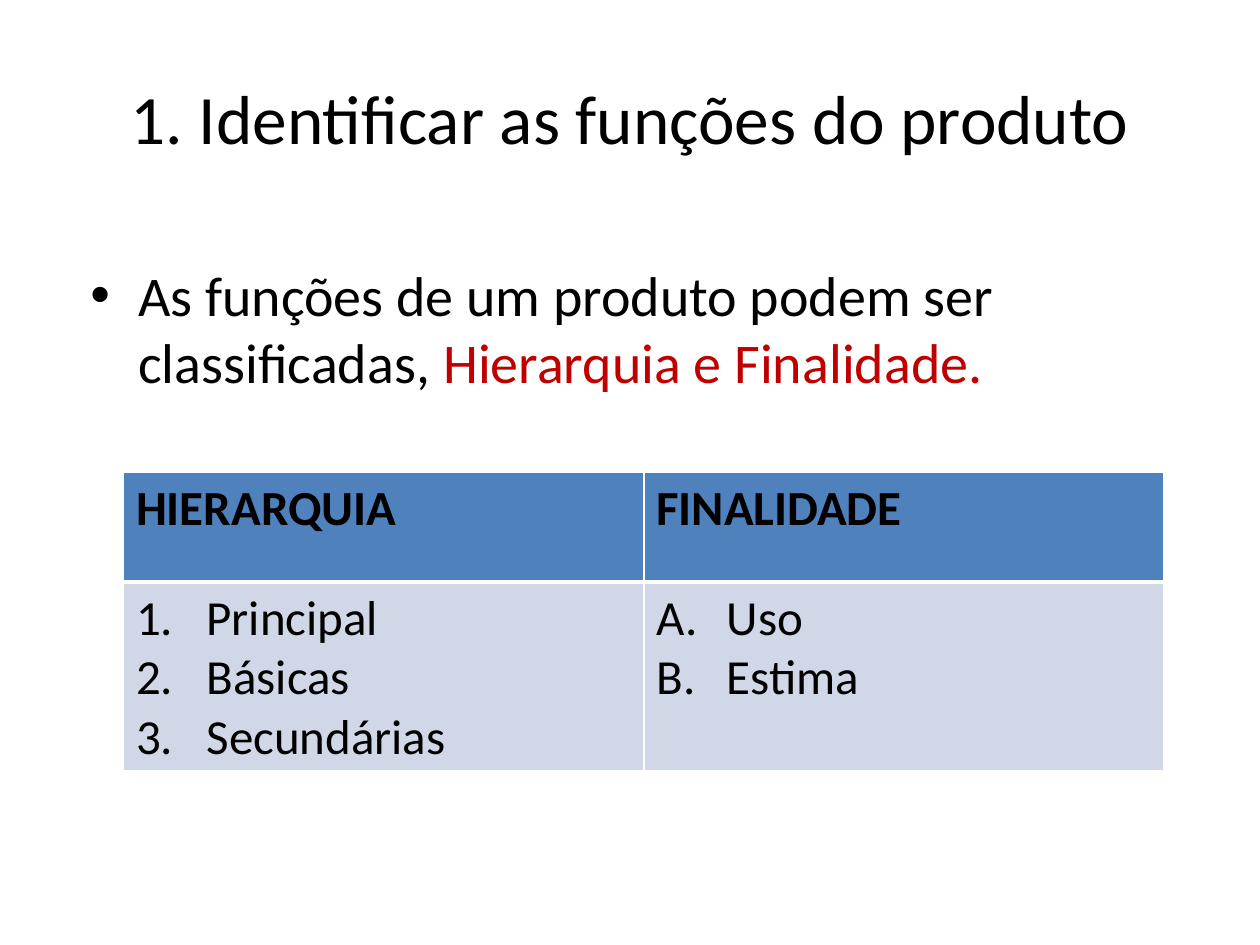
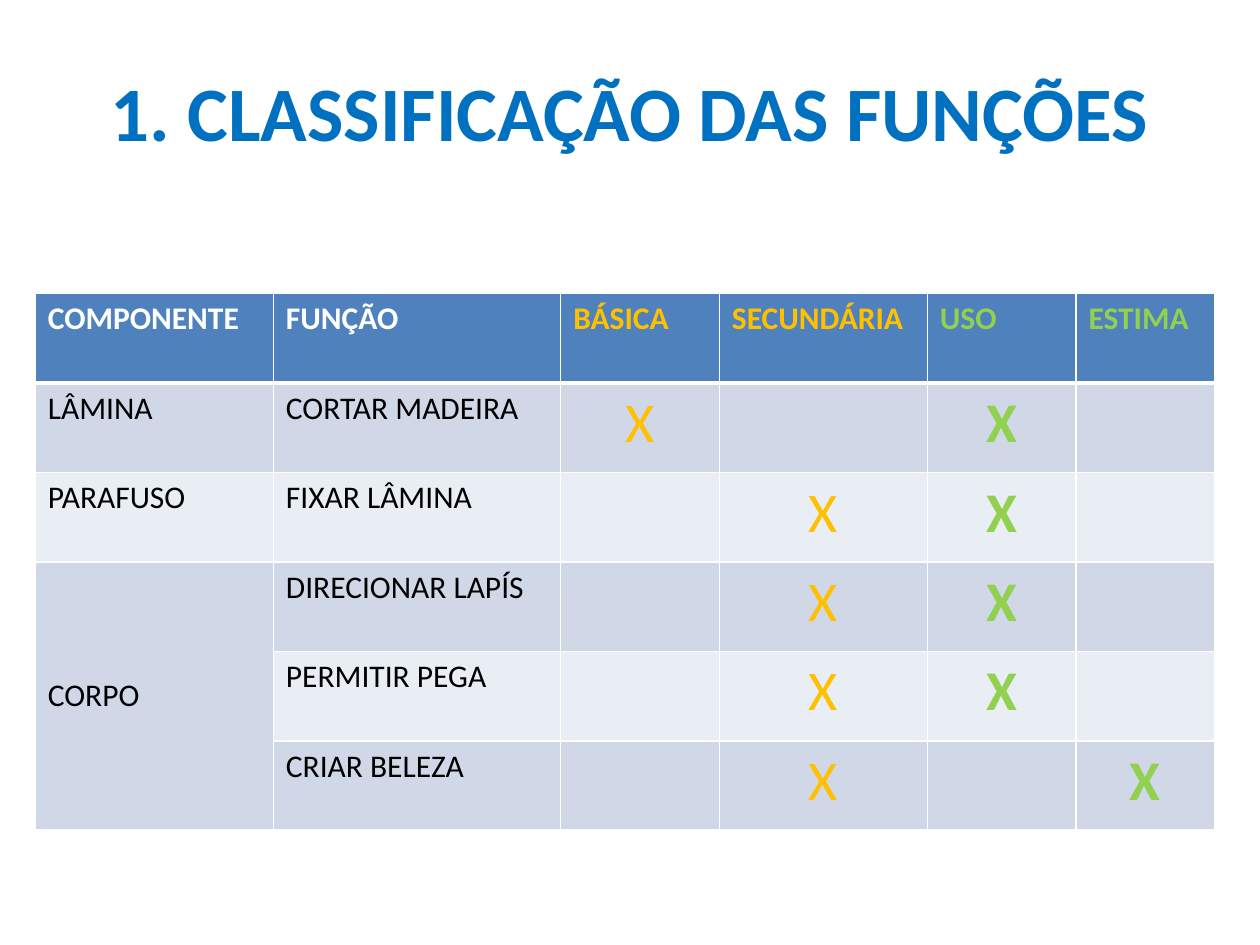
from dataclasses import dataclass
from typing import NamedTuple

from lxml import etree
from pptx import Presentation
from pptx.dml.color import RGBColor
from pptx.enum.text import MSO_ANCHOR, PP_ALIGN
from pptx.oxml.ns import qn
from pptx.util import Inches, Pt

LEFT, CENTER = PP_ALIGN.LEFT, PP_ALIGN.CENTER
TOP, MIDDLE = MSO_ANCHOR.TOP, MSO_ANCHOR.MIDDLE
BLANK_LAYOUT = 6


@dataclass(frozen=True)
class Theme:
    font: str = "Calibri"
    black: str = "000000"
    white: str = "FFFFFF"
    red: str = "C00000"
    title_blue: str = "0070C0"
    header_blue: str = "4F81BD"
    bands: tuple[str, str] = ("D0D8E8", "E9EDF4")
    amber: str = "FFC000"
    green: str = "92D050"
    title_size: float = 44
    small_title_size: float = 39.6
    body_size: float = 32
    list_size: float = 28
    grid_size: float = 18
    thin_line: float = 1
    header_line: float = 3


THEME = Theme()


class Box(NamedTuple):
    left: float
    top: float
    width: float
    height: float


class TextStyle(NamedTuple):
    size: float
    color: str = THEME.black
    bold: bool = False


class Bullet(NamedTuple):
    tag: str
    attribute: str
    value: str
    indent: float


class ListColumn(NamedTuple):
    heading: str
    numbering: str
    items: tuple[str, ...]


class FunctionRow(NamedTuple):
    component: str
    function: str
    marked: tuple[str, str]


TITLE_BOX = Box(0.5, 0.3, 9, 1.25)
DOT = Bullet("a:buChar", "char", "•", 0.38)

LIST_COLUMNS = (
    ListColumn("HIERARQUIA", "arabicPeriod", ("Principal", "Básicas", "Secundárias")),
    ListColumn("FINALIDADE", "alphaUcPeriod", ("Uso", "Estima")),
)

# Classification columns and their colours
CLASS_COLORS = {
    "BÁSICA": THEME.amber,
    "SECUNDÁRIA": THEME.amber,
    "USO": THEME.green,
    "ESTIMA": THEME.green,
}
FUNCTION_ROWS = (
    FunctionRow("LÂMINA", "CORTAR MADEIRA", ("BÁSICA", "USO")),
    FunctionRow("PARAFUSO", "FIXAR LÂMINA", ("SECUNDÁRIA", "USO")),
    FunctionRow("CORPO", "DIRECIONAR LAPÍS", ("SECUNDÁRIA", "USO")),
    FunctionRow("", "PERMITIR PEGA", ("SECUNDÁRIA", "USO")),
    FunctionRow("", "CRIAR BELEZA", ("SECUNDÁRIA", "ESTIMA")),
)


# Text helpers
def add_run(paragraph, text: str, style: TextStyle) -> None:
    run = paragraph.add_run()
    run.text = text
    run.font.name = THEME.font
    run.font.size = Pt(style.size)
    run.font.bold = style.bold
    run.font.color.rgb = RGBColor.from_string(style.color)


def set_bullet(paragraph, bullet: Bullet) -> None:
    properties = paragraph._p.get_or_add_pPr()
    properties.set("marL", str(Inches(bullet.indent)))
    properties.set("indent", str(-Inches(bullet.indent)))
    font = etree.SubElement(properties, qn("a:buFont"))
    font.set("typeface", "Arial" if bullet == DOT else "+mj-lt")
    etree.SubElement(properties, qn(bullet.tag)).set(bullet.attribute, bullet.value)


def add_text_box(slide, box: Box, anchor=TOP):
    shape = slide.shapes.add_textbox(*(Inches(length) for length in box))
    frame = shape.text_frame
    frame.word_wrap = True
    frame.vertical_anchor = anchor
    return frame.paragraphs[0]


def add_title(slide, text: str, style: TextStyle, line_spacing: float = 1.0) -> None:
    paragraph = add_text_box(slide, TITLE_BOX, MIDDLE)
    paragraph.alignment = CENTER
    paragraph.line_spacing = line_spacing
    add_run(paragraph, text, style)


# Table helpers
def style_cell(cell, row: int) -> None:
    properties = cell._tc.get_or_add_tcPr()
    heavy_side = {0: "lnB", 1: "lnT"}.get(row)
    for side in ("lnL", "lnR", "lnT", "lnB"):
        width = THEME.header_line if side == heavy_side else THEME.thin_line
        line = etree.SubElement(properties, qn(f"a:{side}"), w=str(Pt(width)))
        fill = etree.SubElement(line, qn("a:solidFill"))
        etree.SubElement(fill, qn("a:srgbClr"), val=THEME.white)
    cell.fill.solid()
    color = THEME.header_blue if row == 0 else THEME.bands[(row - 1) % 2]
    cell.fill.fore_color.rgb = RGBColor.from_string(color)


def add_table(slide, left: float, top: float, widths: list[float], heights: list[float]):
    box = Box(left, top, sum(widths), sum(heights))
    frame = slide.shapes.add_table(
        len(heights), len(widths), *(Inches(length) for length in box)
    )
    table = frame.table
    for column, width in zip(table.columns, widths):
        column.width = Inches(width)
    for index, (row, height) in enumerate(zip(table.rows, heights)):
        row.height = Inches(height)
        for cell in row.cells:
            style_cell(cell, index)
    return table


def write_cell(cell, text: str, style: TextStyle, alignment=LEFT) -> None:
    paragraph = cell.text_frame.paragraphs[0]
    paragraph.alignment = alignment
    add_run(paragraph, text, style)


# Slide 1: the two ways of classifying functions
def build_functions_slide(slide) -> None:
    add_title(slide, "1. Identificar as funções do produto", TextStyle(THEME.small_title_size))

    paragraph = add_text_box(slide, Box(0.62, 2.02, 9, 1.3))
    set_bullet(paragraph, DOT)
    add_run(paragraph, "As funções de um produto podem ser classificadas, ",
            TextStyle(THEME.body_size))
    add_run(paragraph, "Hierarquia e Finalidade.", TextStyle(THEME.body_size, THEME.red))

    table = add_table(slide, 0.98, 3.75, [4.13] * len(LIST_COLUMNS), [0.87, 1.5])
    for index, column in enumerate(LIST_COLUMNS):
        write_cell(table.cell(0, index), column.heading,
                   TextStyle(THEME.list_size, bold=True))
        frame = table.cell(1, index).text_frame
        numbering = Bullet("a:buAutoNum", "type", column.numbering, 0.56)
        for position, item in enumerate(column.items):
            paragraph = frame.add_paragraph() if position else frame.paragraphs[0]
            set_bullet(paragraph, numbering)
            add_run(paragraph, item, TextStyle(THEME.list_size))


# Slide 2: the classification grid
def build_classification_slide(slide) -> None:
    add_title(slide, "1. CLASSIFICAÇÃO DAS FUNÇÕES",
              TextStyle(THEME.title_size, THEME.title_blue, bold=True), 0.9)

    widths = [1.89, 2.28, 1.26, 1.65, 1.18, 1.1]
    table = add_table(slide, 0.28, 2.33, widths, [0.71] * (len(FUNCTION_ROWS) + 1))
    headings = ["COMPONENTE", "FUNÇÃO", *CLASS_COLORS]
    for index, heading in enumerate(headings):
        color = CLASS_COLORS.get(heading, THEME.white)
        write_cell(table.cell(0, index), heading,
                   TextStyle(THEME.grid_size, color, bold=True))

    label = TextStyle(THEME.grid_size)
    for index, row in enumerate(FUNCTION_ROWS, start=1):
        if row.component:
            write_cell(table.cell(index, 0), row.component, label)
        write_cell(table.cell(index, 1), row.function, label)
        for heading in row.marked:
            color = CLASS_COLORS[heading]
            mark = TextStyle(THEME.body_size, color, bold=color == THEME.green)
            write_cell(table.cell(index, headings.index(heading)), "X", mark, CENTER)

    body_cell = table.cell(3, 0)
    body_cell.merge(table.cell(5, 0))
    body_cell.vertical_anchor = MIDDLE


def main() -> None:
    presentation = Presentation()
    presentation.slide_width = Inches(10)
    presentation.slide_height = Inches(7.5)
    for build in (build_functions_slide, build_classification_slide):
        build(presentation.slides.add_slide(presentation.slide_layouts[BLANK_LAYOUT]))
    presentation.save("out.pptx")


if __name__ == "__main__":
    main()
